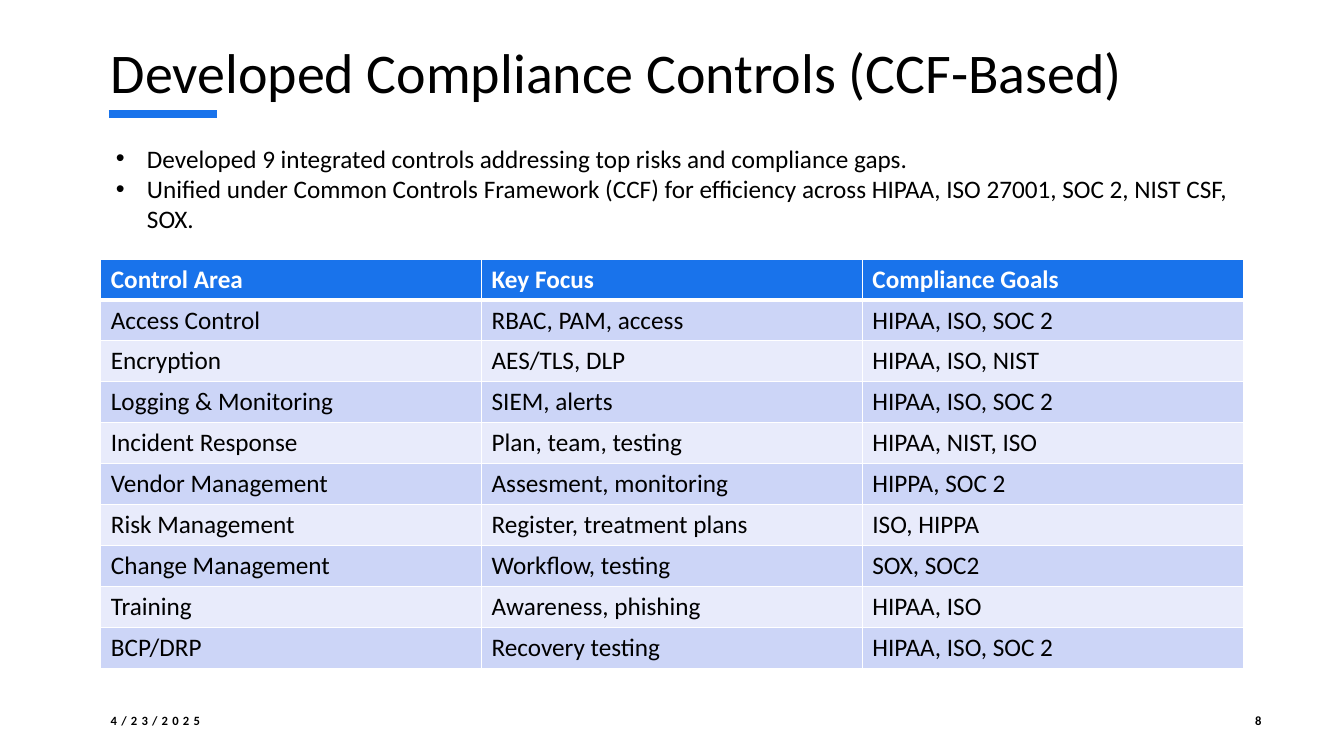
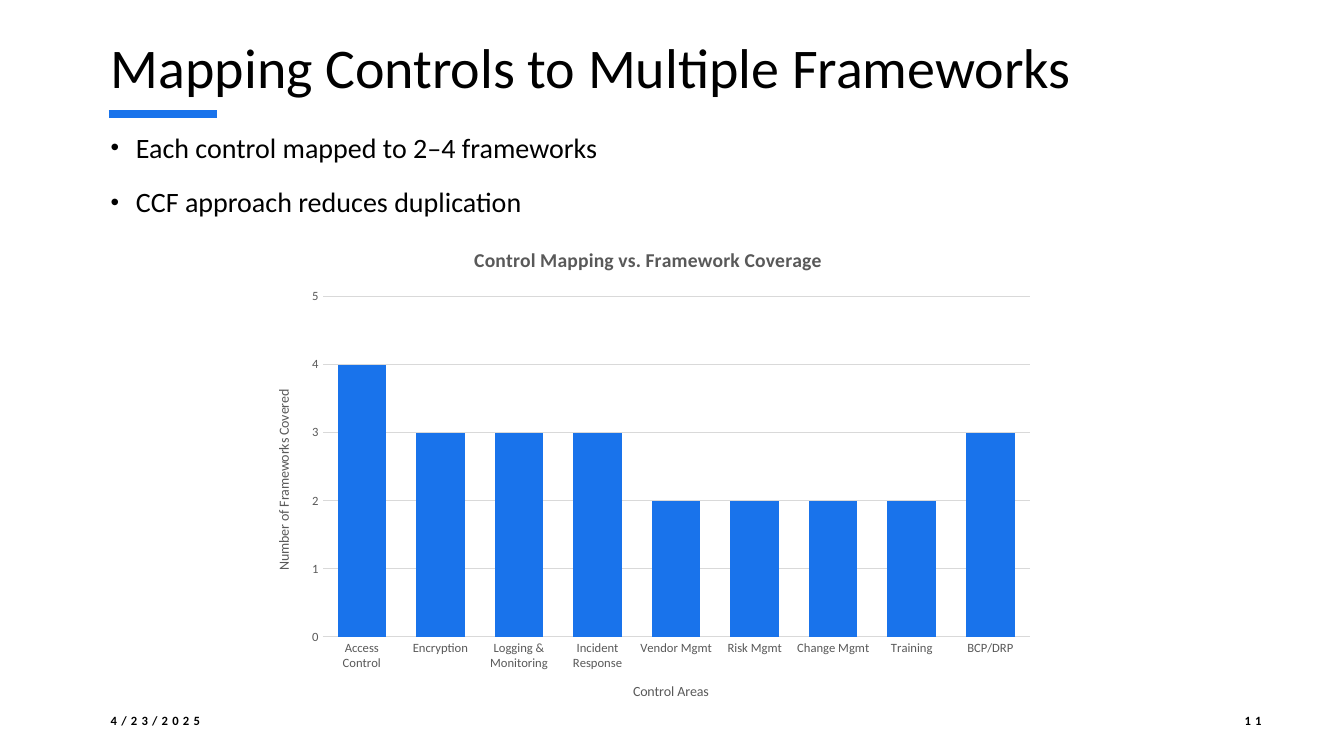
from dataclasses import dataclass

from lxml.etree import SubElement
from pptx import Presentation
from pptx.chart.data import CategoryChartData
from pptx.dml.color import RGBColor
from pptx.enum.chart import XL_CHART_TYPE, XL_TICK_MARK
from pptx.enum.shapes import MSO_CONNECTOR
from pptx.enum.text import MSO_ANCHOR, MSO_AUTO_SIZE, PP_ALIGN
from pptx.oxml import parse_xml
from pptx.oxml.ns import nsdecls, qn
from pptx.util import Inches, Pt


@dataclass(frozen=True)
class Theme:
    font: str = "Calibri"
    accent: str = "1973EB"
    text: str = "000000"
    white: str = "FFFFFF"
    band_dark: str = "CCD5F7"
    band_light: str = "E8EBFB"
    chart_text: str = "595959"
    chart_line: str = "D9D9D9"
    title_size: float = 40
    bullet_size: float = 20
    body_size: float = 18
    chart_title_size: float = 14
    axis_title_size: float = 10
    small_size: float = 9


THEME = Theme()
LEFT, WIDTH = 1, 11.33

CONTROLS = [
    ("Control Area", "Key Focus", "Compliance Goals"),
    ("Access Control", "RBAC, PAM, access", "HIPAA, ISO, SOC 2"),
    ("Encryption", "AES/TLS, DLP", "HIPAA, ISO, NIST"),
    ("Logging & Monitoring", "SIEM, alerts", "HIPAA, ISO, SOC 2"),
    ("Incident Response", "Plan, team, testing", "HIPAA, NIST, ISO"),
    ("Vendor Management", "Assesment, monitoring", "HIPPA, SOC 2"),
    ("Risk Management", "Register, treatment plans", "ISO, HIPPA"),
    ("Change Management", "Workflow, testing", "SOX, SOC2"),
    ("Training", "Awareness, phishing", "HIPAA, ISO"),
    ("BCP/DRP", "Recovery testing", "HIPAA, ISO, SOC 2"),
]
COVERAGE = {
    "Access Control": 4, "Encryption": 3, "Logging & Monitoring": 3,
    "Incident Response": 3, "Vendor Mgmt": 2, "Risk Mgmt": 2,
    "Change Mgmt": 2, "Training": 2, "BCP/DRP": 3,
}


def rgb(color):
    return RGBColor.from_string(color)


def style_font(font, size, color=THEME.text, bold=False):
    font.name = THEME.font
    font.size = Pt(size)
    font.bold = bold
    font.color.rgb = rgb(color)


def add_run(paragraph, text, size, color=THEME.text, bold=False):
    run = paragraph.add_run()
    run.text = text
    style_font(run.font, size, color, bold)
    return run


def add_text_frame(slide, box):
    shape = slide.shapes.add_textbox(*map(Inches, box))
    shape.text_frame.word_wrap = True
    return shape.text_frame


# Shared slide frame: title, accent rule and footer
def add_title(slide, text, top):
    title = slide.shapes.title
    title.left, title.top = Inches(LEFT), Inches(top)
    title.width, title.height = Inches(WIDTH), Inches(1.3)
    frame = title.text_frame
    frame.auto_size = MSO_AUTO_SIZE.NONE
    frame.vertical_anchor = MSO_ANCHOR.TOP
    paragraph = frame.paragraphs[0]
    paragraph.alignment = PP_ALIGN.LEFT
    add_run(paragraph, text, THEME.title_size)


def add_accent_rule(slide):
    ends = (LEFT + 0.08, 1.13, LEFT + 1.15, 1.13)
    rule = slide.shapes.add_connector(MSO_CONNECTOR.STRAIGHT, *map(Inches, ends))
    rule.line.color.rgb = rgb(THEME.accent)
    rule.line.width = Pt(6)
    SubElement(rule._element.spPr, qn("a:effectLst"))


def add_footer_text(slide, text, left, width, alignment):
    frame = add_text_frame(slide, (left, 6.95, width, 0.4))
    frame.vertical_anchor = MSO_ANCHOR.MIDDLE
    paragraph = frame.paragraphs[0]
    paragraph.alignment = alignment
    run = add_run(paragraph, text, THEME.small_size, bold=True)
    run.font._element.set("spc", "300")


def add_framed_slide(presentation, title, title_top, number):
    slide = presentation.slides.add_slide(presentation.slide_layouts[5])
    add_accent_rule(slide)
    add_title(slide, title, title_top)
    add_footer_text(slide, "4/23/2025", LEFT, 3, PP_ALIGN.LEFT)
    add_footer_text(slide, number, 11.82, 0.79, PP_ALIGN.RIGHT)
    return slide


# Bulleted text
def add_bullets(slide, box, lines, size, indent, line_spacing=1.0,
                space_before=0, bullet_percent=100):
    frame = add_text_frame(slide, box)
    for index, line in enumerate(lines):
        paragraph = frame.add_paragraph() if index else frame.paragraphs[0]
        paragraph.line_spacing = line_spacing
        paragraph.space_before = Pt(space_before)
        properties = paragraph._p.get_or_add_pPr()
        properties.set("marL", str(Inches(indent)))
        properties.set("indent", str(-Inches(indent)))
        SubElement(properties, qn("a:buSzPct"), val=str(bullet_percent * 1000))
        SubElement(properties, qn("a:buFont"), typeface="Arial")
        SubElement(properties, qn("a:buChar"), char="•")
        add_run(paragraph, line, size)


# Table of controls
def set_cell_borders(cell, top=1, bottom=1):
    properties = cell._tc.get_or_add_tcPr()
    widths = {"lnL": 1, "lnR": 1, "lnT": top, "lnB": bottom}
    for position, (side, width) in enumerate(widths.items()):
        properties.insert(position, parse_xml(
            f'<a:{side} {nsdecls("a")} w="{Pt(width)}"><a:solidFill>'
            f'<a:srgbClr val="{THEME.white}"/></a:solidFill></a:{side}>'))


def add_controls_table(slide, box, rows):
    table = slide.shapes.add_table(
        len(rows), len(rows[0]), *map(Inches, box)).table
    table.horz_banding = False
    for row_index, row in enumerate(rows):
        header = row_index == 0
        band = THEME.band_dark if row_index % 2 else THEME.band_light
        for column_index, text in enumerate(row):
            cell = table.cell(row_index, column_index)
            cell.fill.solid()
            cell.fill.fore_color.rgb = rgb(THEME.accent if header else band)
            set_cell_borders(cell, top=3 if row_index == 1 else 1,
                             bottom=3 if header else 1)
            add_run(cell.text_frame.paragraphs[0], text, THEME.body_size,
                    THEME.white if header else THEME.text, header)


# Coverage chart
def add_chart_title(owner, text, size, bold=False):
    paragraph = owner.text_frame.paragraphs[0]
    add_run(paragraph, text, size, THEME.chart_text, bold)


def style_axis(axis, title):
    axis.major_tick_mark = axis.minor_tick_mark = XL_TICK_MARK.NONE
    style_font(axis.tick_labels.font, THEME.small_size, THEME.chart_text)
    add_chart_title(axis.axis_title, title, THEME.axis_title_size)


def style_line(line):
    line.color.rgb = rgb(THEME.chart_line)
    line.width = Pt(0.75)


def set_plot_layout(chart, x, y, w, h):
    plot_area = chart._chartSpace.chart.plotArea
    for old_layout in plot_area.findall(qn("c:layout")):
        plot_area.remove(old_layout)
    layout = parse_xml(f'<c:layout {nsdecls("c")}/>')
    manual = SubElement(layout, qn("c:manualLayout"))
    settings = {"layoutTarget": "inner", "xMode": "edge", "yMode": "edge",
                "x": x, "y": y, "w": w, "h": h}
    for name, value in settings.items():
        SubElement(manual, qn(f"c:{name}"), val=str(value))
    plot_area.insert(0, layout)


def add_coverage_chart(slide, box, coverage):
    data = CategoryChartData()
    data.categories = list(coverage)
    data.add_series("Series 1", list(coverage.values()))
    chart = slide.shapes.add_chart(
        XL_CHART_TYPE.COLUMN_CLUSTERED, *map(Inches, box), data).chart
    style_font(chart.font, THEME.axis_title_size)
    chart.has_legend = False
    chart.has_title = True
    add_chart_title(chart.chart_title, "Control Mapping vs. Framework Coverage",
                    THEME.chart_title_size, bold=True)

    style_axis(chart.category_axis, "Control Areas")
    style_line(chart.category_axis.format.line)
    value_axis = chart.value_axis
    style_axis(value_axis, "Number of Frameworks Covered")
    value_axis.minimum_scale, value_axis.maximum_scale = 0, 5
    value_axis.major_unit = 1
    value_axis.format.line.fill.background()
    style_line(value_axis.major_gridlines.format.line)

    plot = chart.plots[0]
    plot.vary_by_categories = False
    plot.gap_width, plot.overlap = 62, -30
    fill = plot.series[0].format.fill
    fill.solid()
    fill.fore_color.rgb = rgb(THEME.accent)
    set_plot_layout(chart, 0.09, 0.14, 0.89, 0.69)


def build_controls_slide(presentation):
    slide = add_framed_slide(
        presentation, "Developed Compliance Controls (CCF-Based)", 0.32, "8")
    add_controls_table(slide, (LEFT, 2.57, WIDTH, 4.06), CONTROLS)
    add_bullets(slide, (1.05, 1.37, 11.24, 1.01), [
        "Developed 9 integrated controls addressing top risks and compliance gaps.",
        "Unified under Common Controls Framework (CCF) for efficiency across "
        "HIPAA, ISO 27001, SOC 2, NIST CSF, SOX.",
    ], THEME.body_size, 0.31)


def build_mapping_slide(presentation):
    slide = add_framed_slide(
        presentation, "Mapping Controls to Multiple Frameworks", 0.27, "11")
    add_bullets(slide, (LEFT, 1.18, WIDTH, 1.19), [
        "Each control mapped to 2–4 frameworks",
        "CCF approach reduces duplication",
    ], THEME.bullet_size, 0.25, line_spacing=1.2, space_before=10,
        bullet_percent=87)
    add_coverage_chart(slide, (2.49, 2.26, 7.88, 4.89), COVERAGE)


def main():
    presentation = Presentation()
    presentation.slide_width = Inches(13.33)
    presentation.slide_height = Inches(7.5)
    build_controls_slide(presentation)
    build_mapping_slide(presentation)
    presentation.save("out.pptx")


if __name__ == "__main__":
    main()
